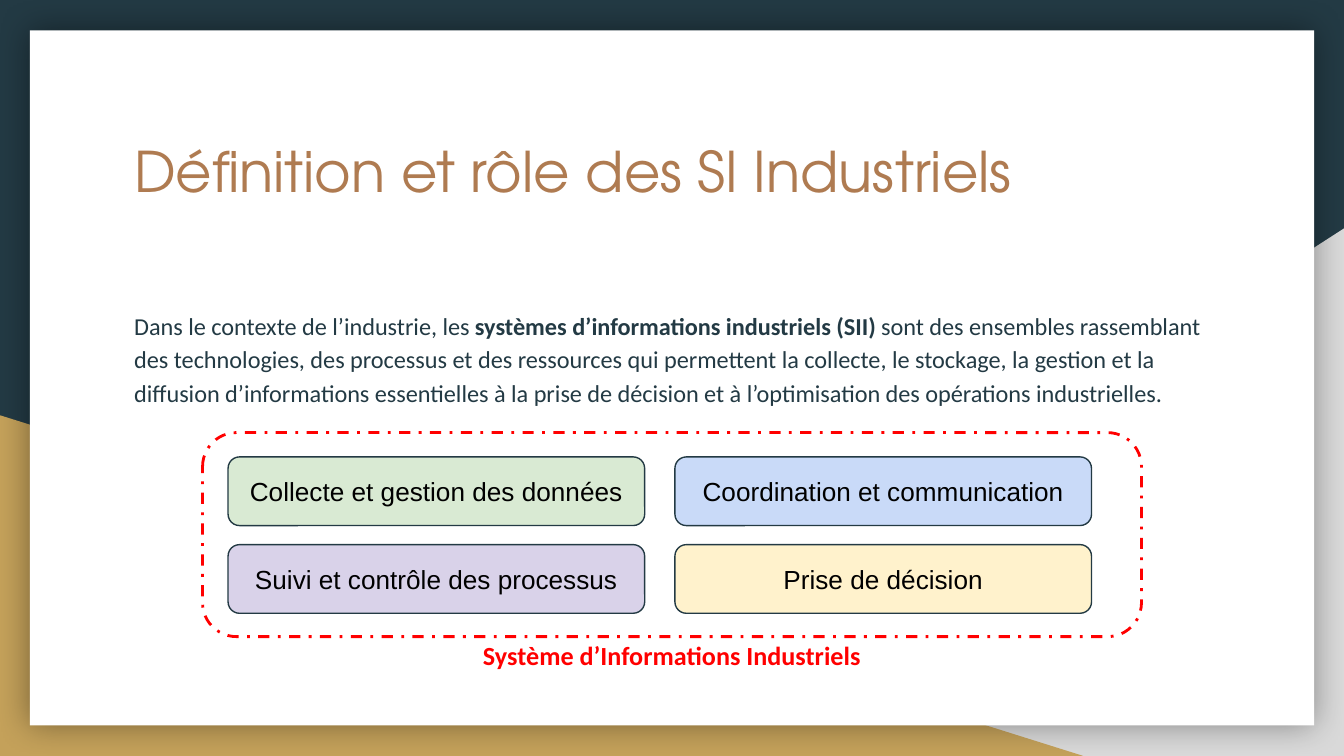
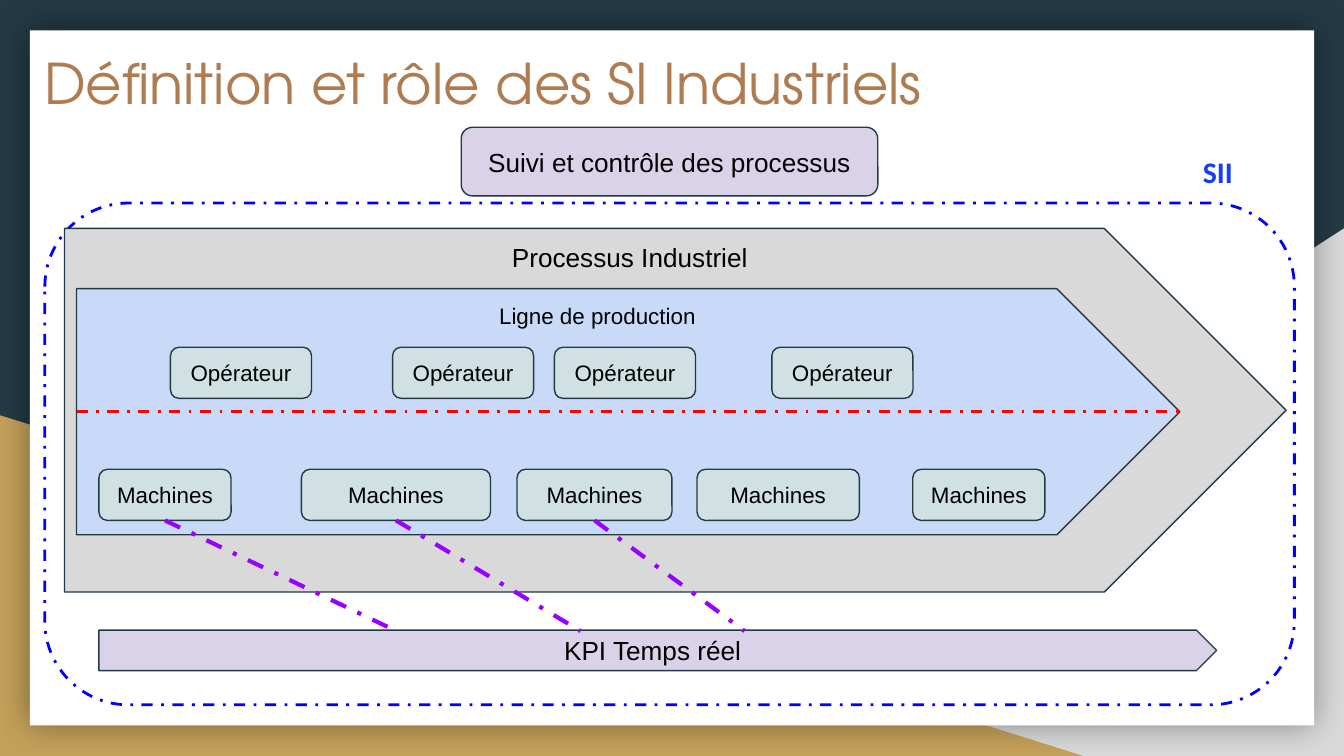
from lxml import etree
from pptx import Presentation
from pptx.dml.color import RGBColor
from pptx.enum import dml, shapes, text
from pptx.oxml import ns
from pptx.util import Pt

NAVY = RGBColor(0x23, 0x3A, 0x44)
SILVER = RGBColor(0xD9, 0xD9, 0xD9)
GOLD = RGBColor(0xC4, 0xA1, 0x5A)
COPPER = RGBColor(0xAF, 0x7B, 0x51)
WHITE = RGBColor(0xFF, 0xFF, 0xFF)
BLACK = RGBColor(0x00, 0x00, 0x00)
RED = RGBColor(0xFF, 0x00, 0x00)
BLUE = RGBColor(0x00, 0x00, 0xFF)
ROYAL = RGBColor(0x16, 0x3E, 0xF5)
VIOLET = RGBColor(0x99, 0x00, 0xFF)
GREEN = RGBColor(0xD9, 0xEA, 0xD3)
LILAC = RGBColor(0xD9, 0xD2, 0xE9)
SKY = RGBColor(0xC9, 0xDA, 0xF8)
CREAM = RGBColor(0xFF, 0xF2, 0xCC)
TEAL = RGBColor(0xD0, 0xE0, 0xE3)

W, H = 720, 405
TITLE = "Définition et rôle des SI Industriels"
MONITORING = "Suivi et contrôle des processus"
BLOCK_W, BLOCK_H = 223.2, 36.8

RECT = shapes.MSO_SHAPE.RECTANGLE
ROUND = shapes.MSO_SHAPE.ROUNDED_RECTANGLE
TRIANGLE = shapes.MSO_SHAPE.RIGHT_TRIANGLE
ARROW = shapes.MSO_SHAPE.PENTAGON
TOP, MIDDLE = text.MSO_ANCHOR.TOP, text.MSO_ANCHOR.MIDDLE
LEFT, CENTER, RIGHT = text.PP_ALIGN.LEFT, text.PP_ALIGN.CENTER, text.PP_ALIGN.RIGHT


def write(sp, runs, size=14, font="Arial", color=BLACK, bold=False,
          align=CENTER, anchor=MIDDLE, spacing=None, after=None):
    """Fill a shape with one paragraph; runs is a string or (text, bold) pairs."""
    tf = sp.text_frame
    tf.word_wrap = True
    tf.vertical_anchor = anchor
    tf.margin_left = tf.margin_right = tf.margin_top = tf.margin_bottom = Pt(7.2)
    p = tf.paragraphs[0]
    p.alignment = align
    if spacing:
        p.line_spacing = spacing
    if after:
        p.space_after = Pt(after)
    for words, strong in [(runs, bold)] if isinstance(runs, str) else runs:
        r = p.add_run()
        r.text = words
        r.font.size, r.font.name, r.font.bold = Pt(size), font, strong
        r.font.color.rgb = color


def add_text(s, box, runs, **fmt):
    fmt.setdefault("anchor", TOP)
    write(s.shapes.add_textbox(*map(Pt, box)), runs, **fmt)


def style_line(line, color, width, dashed):
    line.color.rgb = color
    line.width = Pt(width)
    if dashed:
        line.dash_style = dml.MSO_LINE.DASH_DOT


def add_shape(s, kind, box, fill=None, line=None, width=0.75, dashed=False):
    sp = s.shapes.add_shape(kind, *map(Pt, box))
    sp.shadow.inherit = False
    if fill is None:
        sp.fill.background()
    else:
        sp.fill.solid()
        sp.fill.fore_color.rgb = fill
    if line is None:
        sp.line.fill.background()
    else:
        style_line(sp.line, line, width, dashed)
    return sp


def add_block(s, box, label, fill, kind=ROUND, **fmt):
    write(add_shape(s, kind, box, fill, NAVY), label, **fmt)


def add_frame(s, box, color):
    add_shape(s, ROUND, box, line=color, width=1.5, dashed=True)


def add_link(s, x1, y1, x2, y2, color, width):
    c = s.shapes.add_connector(shapes.MSO_CONNECTOR.STRAIGHT, *map(Pt, (x1, y1, x2, y2)))
    style_line(c.line, color, width, True)
    etree.SubElement(c._element.spPr, ns.qn("a:effectLst"))


def add_glow(sp):
    """Give a shape a soft, centred black shadow."""
    effects = sp._element.spPr.find(ns.qn("a:effectLst"))
    shadow = etree.SubElement(effects, ns.qn("a:outerShdw"), blurRad=str(Pt(18)),
                              dist="0", dir="0", algn="ctr", rotWithShape="0")
    tint = etree.SubElement(shadow, ns.qn("a:srgbClr"), val="000000")
    etree.SubElement(tint, ns.qn("a:alpha"), val="40000")


def new_slide(prs, title_x, title_y):
    """Add a slide with the shared backdrop, white card and title."""
    s = prs.slides.add_slide(prs.slide_layouts[6])
    s.background.fill.solid()
    s.background.fill.fore_color.rgb = NAVY
    grey = add_shape(s, TRIANGLE, (282.2, 122.4, W - 282.2, H - 122.4), SILVER)
    grey._element.spPr.find(ns.qn("a:xfrm")).set("flipH", "1")
    add_shape(s, TRIANGLE, (0, 222.5, 580.3, H - 222.5), GOLD)
    add_glow(add_shape(s, RECT, (16, 16.3, W - 32, H - 32.6), WHITE))
    add_text(s, (title_x, title_y, 591.1, 74.9), TITLE, size=30,
             font="TeX Gyre Adventor", color=COPPER, align=LEFT)
    return s


def roles_panel(s, box):
    """Dashed frame with a 2 x 2 grid of roles and a caption below."""
    x, y, w, h = box
    add_frame(s, box, RED)
    roles = [("Collecte et gestion des données", GREEN),
             ("Coordination et communication", SKY),
             (MONITORING, LILAC),
             ("Prise de décision", CREAM)]
    for i, (label, fill) in enumerate(roles):
        row, col = divmod(i, 2)
        add_block(s, (x + 13.7 + col * 239.4, y + 13 + row * 47, BLOCK_W, BLOCK_H),
                  label, fill)
    add_text(s, (x + (w - 232.6) / 2, y + h - 5.6, 232.6, 31.7),
             "Système d’Informations Industriels", font="Calibri", color=RED, bold=True)


def production_line(s, box):
    """Draw the line with operators above machines; return machine foot points."""
    x, y, w, h = box
    add_block(s, box, "Ligne de production", SKY, ARROW, size=12, anchor=TOP)
    for dx in (50.3, 169.3, 256, 372.5):
        add_block(s, (x + dx, y + 31.3, 75.6, 27.4), "Opérateur", TEAL, size=12)
    feet = []
    for dx, width in ((12, 70.8), (120.5, 101.3), (236, 83), (332.4, 87), (448, 70.8)):
        add_block(s, (x + dx, y + 96.7, width, 27.4), "Machines", TEAL, size=12)
        feet.append((x + dx + width / 2, y + 96.7 + 27.4))
    add_link(s, x, y + h / 2, x + w, y + h / 2, RED, 1.5)
    return feet


def process_panel(s, box):
    """Dashed frame around the industrial process and its KPI band."""
    x, y, w, h = box
    add_frame(s, box, BLUE)
    add_block(s, (x + 10.6, y + 13.6, 654.4, 194.8), "Processus Industriel",
              SILVER, ARROW, anchor=TOP)
    add_block(s, (x + (w - BLOCK_W) / 2, y - 40.6, BLOCK_W, BLOCK_H), MONITORING, LILAC)
    feet = production_line(s, (x + 17, y + 45.9, 591.1, 131.8))
    add_text(s, (x + 557.8, y - 33.8, 85.7, 33.8), "SII", size=16,
             font="Calibri", color=ROYAL, bold=True, align=RIGHT)
    kpi_y = y + 228.8
    add_block(s, (x + 29, kpi_y, 598.8, 21.7), "KPI Temps réel", LILAC, ARROW)
    for foot, dx in zip(feet, (188.4, 287, 374.9)):
        add_link(s, *foot, x + dx, kpi_y + 0.5, VIOLET, 2.25)


def definition_slide(prs):
    s = new_slide(prs, 64.8, 66.2)
    add_text(s, (64.8, 157, 591.1, 74.9), [
        ("Dans le contexte de l’industrie, les ", False),
        ("systèmes d’informations industriels (SII) ", True),
        ("sont des ensembles rassemblant des technologies, des processus et des "
         "ressources qui permettent la collecte, le stockage, la gestion et la "
         "diffusion d’informations essentielles à la prise de décision et à "
         "l’optimisation des opérations industrielles.", False),
    ], size=13, font="Calibri", color=NAVY, align=LEFT, spacing=1.15, after=12)
    roles_panel(s, (108.5, 231.8, 503, 109.3))


def process_slide(prs):
    s = new_slide(prs, 16.6, 18.7)
    process_panel(s, (24, 108.8, 669.4, 268.8))


def main():
    prs = Presentation()
    prs.slide_width, prs.slide_height = Pt(W), Pt(H)
    definition_slide(prs)
    process_slide(prs)
    prs.save("out.pptx")


if __name__ == "__main__":
    main()
